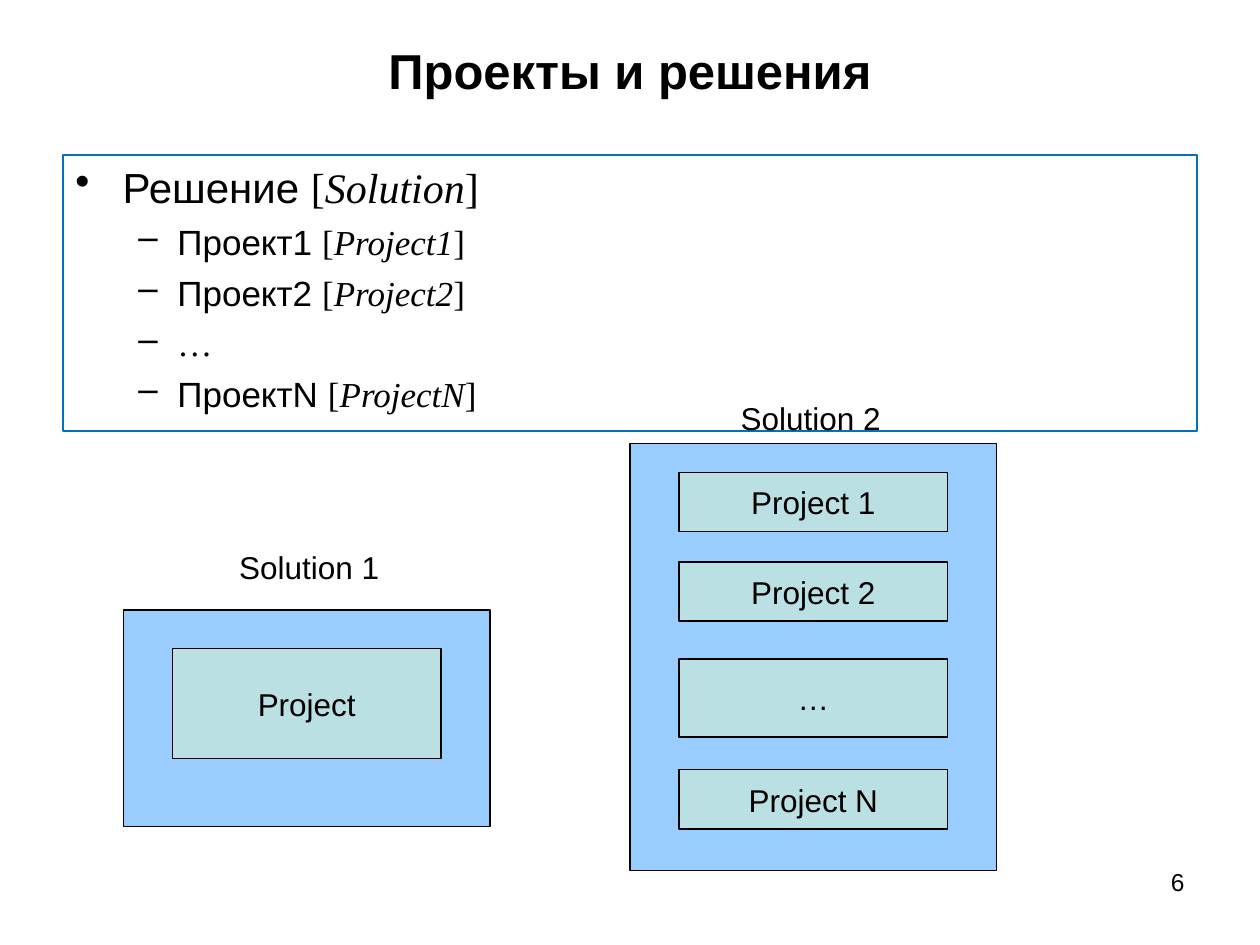
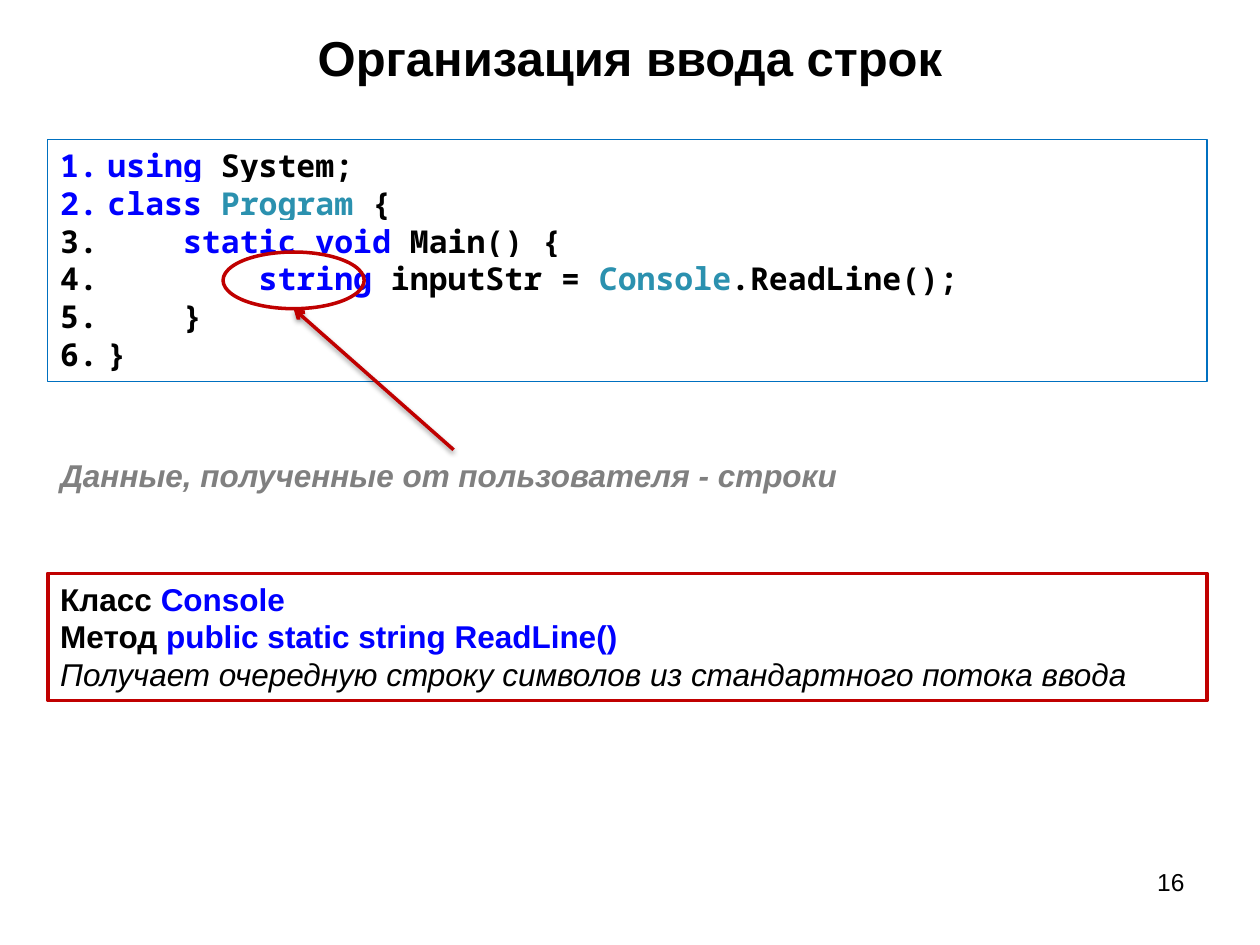
import pptx
import pptx.dml.color
import pptx.enum.shapes
import pptx.enum.text
import pptx.oxml
import pptx.oxml.ns
import pptx.util

ALIGN = pptx.enum.text.PP_ALIGN
ANCHOR = pptx.enum.text.MSO_ANCHOR
SHAPE = pptx.enum.shapes.MSO_SHAPE
COLUMNS, ROWS = 100, 75
BLACK, WHITE, BLUE, RED = "000000", "FFFFFF", "0000FF", "C00000"
FRAME, TYPE_NAME, GRAY = "0070C0", "2B91AF", "808080"
SOLUTION_FILL, PROJECT_FILL = "99CCFF", "BBE0E3"
SERIF = "Times New Roman"


def color(hex_code):
    return pptx.dml.color.RGBColor.from_string(hex_code)


def xml(markup):
    tag, rest = markup.split(" ", 1)
    return pptx.oxml.parse_xml(f"{tag} {pptx.oxml.ns.nsdecls('a')} {rest}")


def write(paragraph, text, size=18, font="Arial", ink=BLACK, bold=False, italic=False, highlight=None):
    run = paragraph.add_run()
    run.text = text
    run.font.size = pptx.util.Pt(size)
    run.font.name = font
    run.font.bold, run.font.italic = bold, italic
    run.font.color.rgb = color(ink)
    if highlight:
        ink_fill = run.font.fill._xPr.find(pptx.oxml.ns.qn("a:solidFill"))
        ink_fill.addnext(xml(f'<a:highlight ><a:srgbClr val="{highlight}"/></a:highlight>'))


class Deck:
    def __init__(self):
        self.presentation = pptx.Presentation()
        self.presentation.slide_width = pptx.util.Inches(10)
        self.presentation.slide_height = pptx.util.Inches(7.5)
        self.column = self.presentation.slide_width / COLUMNS
        self.row = self.presentation.slide_height / ROWS
        self.slide = None

    def place(self, *lengths):
        return [round(n * (self.row if i % 2 else self.column)) for i, n in enumerate(lengths)]

    def page(self, heading, number, top, height):
        self.slide = self.presentation.slides.add_slide(self.presentation.slide_layouts[6])
        self.text((5, top, 90, height), [[(heading, dict(size=28, bold=True))]],
                  align=ALIGN.CENTER, anchor=ANCHOR.MIDDLE)
        self.text((71.7, 68.3, 23.3, 5.2), [[(number, dict(size=14))]], align=ALIGN.RIGHT)

    def fill_text(self, frame, lines, align=ALIGN.LEFT, anchor=ANCHOR.TOP, wrap=True, grow=False):
        frame.word_wrap = wrap
        frame.vertical_anchor = anchor
        sizing = pptx.enum.text.MSO_AUTO_SIZE
        frame.auto_size = sizing.SHAPE_TO_FIT_TEXT if grow else sizing.NONE
        for index, runs in enumerate(lines):
            paragraph = frame.paragraphs[0] if index == 0 else frame.add_paragraph()
            paragraph.alignment = align
            for text, style in runs:
                write(paragraph, text, **style)
        return frame.paragraphs

    def text(self, area, lines, border=None, width=0.75, **layout):
        box = self.slide.shapes.add_textbox(*self.place(*area))
        if border:
            box.line.color.rgb = color(border)
            box.line.width = pptx.util.Pt(width)
        return self.fill_text(box.text_frame, lines, **layout)

    def bullet(self, paragraph, mark, margin=3.75, hang=3.75):
        properties = paragraph._p.get_or_add_pPr()
        properties.set("marL", str(round(margin * self.column)))
        properties.set("indent", str(round(-hang * self.column)))
        properties.append(xml(mark))

    def shape(self, kind, area, fill=None, border=BLACK, width=0.75, label=None):
        shape = self.slide.shapes.add_shape(kind, *self.place(*area))
        shape.shadow.inherit = False
        if fill:
            shape.fill.solid()
            shape.fill.fore_color.rgb = color(fill)
        else:
            shape.fill.background()
        shape.line.color.rgb = color(border)
        shape.line.width = pptx.util.Pt(width)
        if label:
            self.fill_text(shape.text_frame, [[(label, {})]], align=ALIGN.CENTER,
                           anchor=ANCHOR.MIDDLE, wrap=False)

    def arrow(self, start, end, ink, width):
        arrow = self.slide.shapes.add_connector(
            pptx.enum.shapes.MSO_CONNECTOR.STRAIGHT, *self.place(*start, *end))
        arrow.line.color.rgb = color(ink)
        arrow.line.width = pptx.util.Pt(width)
        properties = arrow.element.spPr
        properties.find(pptx.oxml.ns.qn("a:ln")).append(xml('<a:tailEnd type="arrow"/>'))
        blur, distance = pptx.util.Pt(3.1), pptx.util.Pt(1.6)
        properties.append(xml(
            f'<a:effectLst ><a:outerShdw blurRad="{blur}" dist="{distance}" dir="5400000" rotWithShape="0">'
            f'<a:srgbClr val="{BLACK}"><a:alpha val="38000"/></a:srgbClr></a:outerShdw></a:effectLst>'))


def projects_and_solutions(deck):
    deck.page("Проекты и решения", "6", 1.3, 8.5)

    def term(russian, english, size):
        serif = dict(size=size, font=SERIF)
        return [(russian + " ", dict(size=size)), ("[", serif),
                (english, dict(serif, italic=True)), ("]", serif)]

    outline = [term("Решение", "Solution", 24), term("Проект1", "Project1", 20),
               term("Проект2", "Project2", 20), [("…", dict(size=20, font=SERIF))],
               term("ПроектN", "ProjectN", 20)]
    solution, *projects = deck.text((5, 12.3, 90, 21.9), outline, border=FRAME)
    deck.bullet(solution, '<a:buChar char="•"/>')
    for project in projects:
        project.level = 1
        project.space_before = pptx.util.Pt(5)
        deck.bullet(project, '<a:buChar char="–"/>', 8.1, 3.1)

    solutions = [
        ("Solution 1", 18, 43, (9.8, 48.4, 29.1, 17.2), [("Project", 51.5, 8.7)]),
        ("Solution 2", 57.8, 31.2, (50, 35.2, 29.1, 33.9),
         [("Project 1", 37.5, 4.7), ("Project 2", 44.6, 4.7), ("…", 52.3, 6.2), ("Project N", 61.1, 4.7)]),
    ]
    for name, name_left, name_top, area, members in solutions:
        deck.shape(SHAPE.RECTANGLE, area, SOLUTION_FILL)
        for member, top, height in members:
            deck.shape(SHAPE.RECTANGLE, (area[0] + 3.9, top, 21.3, height), PROJECT_FILL, label=member)
        deck.text((name_left, name_top, 13.2, 4), [[(name, {})]], wrap=False, grow=True)


def string_input(deck):
    deck.page("Организация ввода строк", "16", 2.1, 4.9)
    code = [
        [("using", BLUE), (" System;", BLACK)],
        [("class", BLUE), (" ", BLACK), ("Program", TYPE_NAME), (" {", BLACK)],
        [("    ", BLACK), ("static", BLUE), (" ", BLACK), ("void", BLUE), (" Main() {", BLACK)],
        [("        ", BLACK), ("string", BLUE), (" inputStr = ", BLACK),
         ("Console", TYPE_NAME), (".ReadLine();", BLACK)],
        [("    }", BLACK)],
        [("}", BLACK)],
    ]
    mono = dict(font="Noto Sans Mono", bold=True, highlight=WHITE)
    listing = [[(token, dict(mono, ink=ink)) for token, ink in line] for line in code]
    for line in deck.text((3.8, 11.1, 92, 19.2), listing, border=FRAME, grow=True):
        deck.bullet(line, '<a:buAutoNum type="arabicPeriod"/>')

    deck.text((3.8, 35.7, 64.5, 4),
              [[("Данные, полученные от пользователя - строки", dict(ink=GRAY, bold=True, italic=True))]],
              wrap=False, grow=True)
    deck.shape(SHAPE.OVAL, (17.7, 20, 11.2, 4.5), border=RED, width=2)
    deck.arrow((36, 35.7), (23.3, 24.5), RED, 2)

    strong, keyword = dict(bold=True), dict(bold=True, ink=BLUE)
    reference = [
        [("Класс ", strong), ("Console", keyword)],
        [("Метод ", strong), ("public static string ReadLine()", keyword)],
        [("Получает очередную строку символов из стандартного потока ввода", dict(italic=True))],
    ]
    deck.text((3.8, 45.5, 92, 10.1), reference, border=RED, width=2, grow=True)


def main():
    deck = Deck()
    projects_and_solutions(deck)
    string_input(deck)
    deck.presentation.save("out.pptx")


if __name__ == "__main__":
    main()
